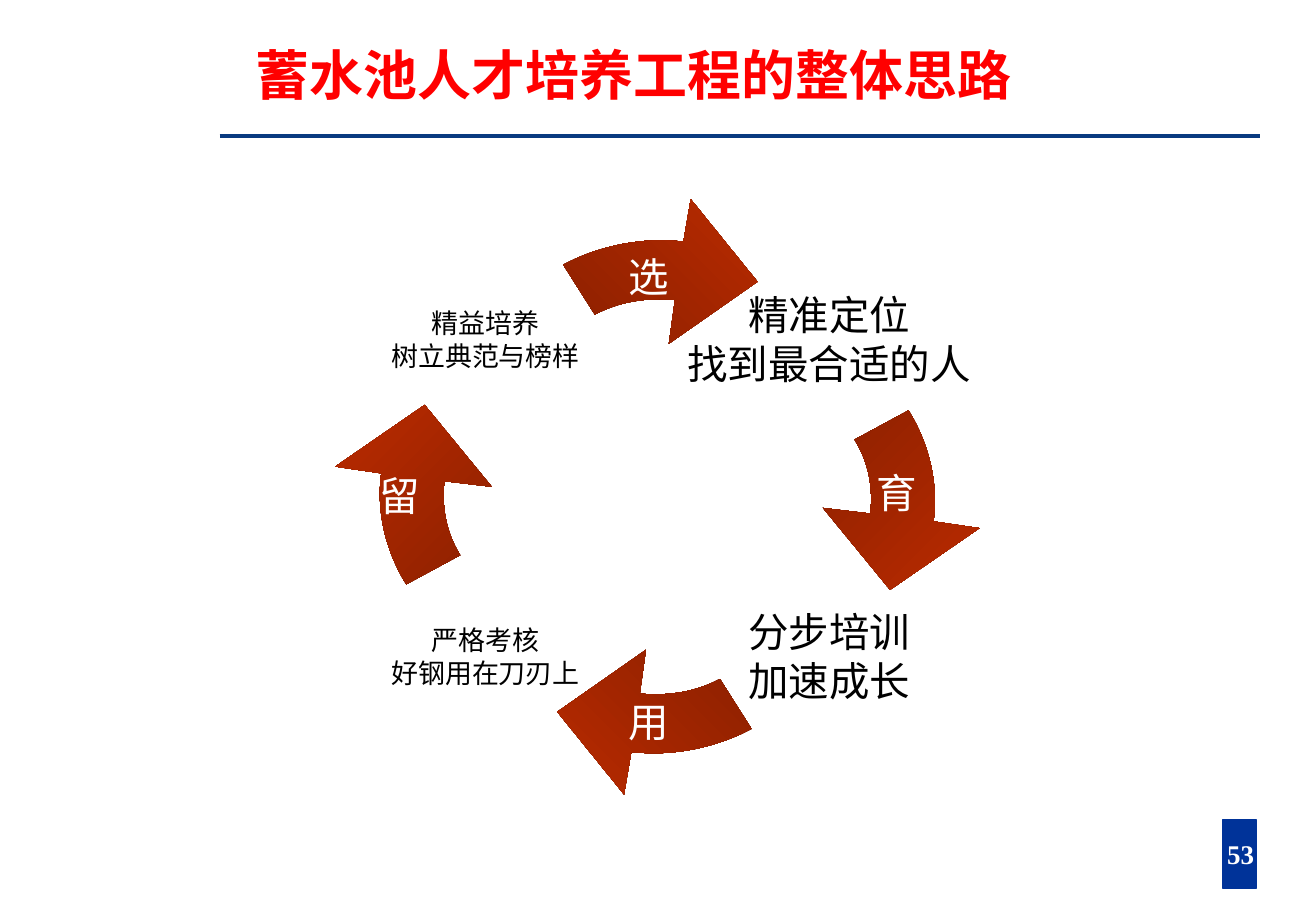
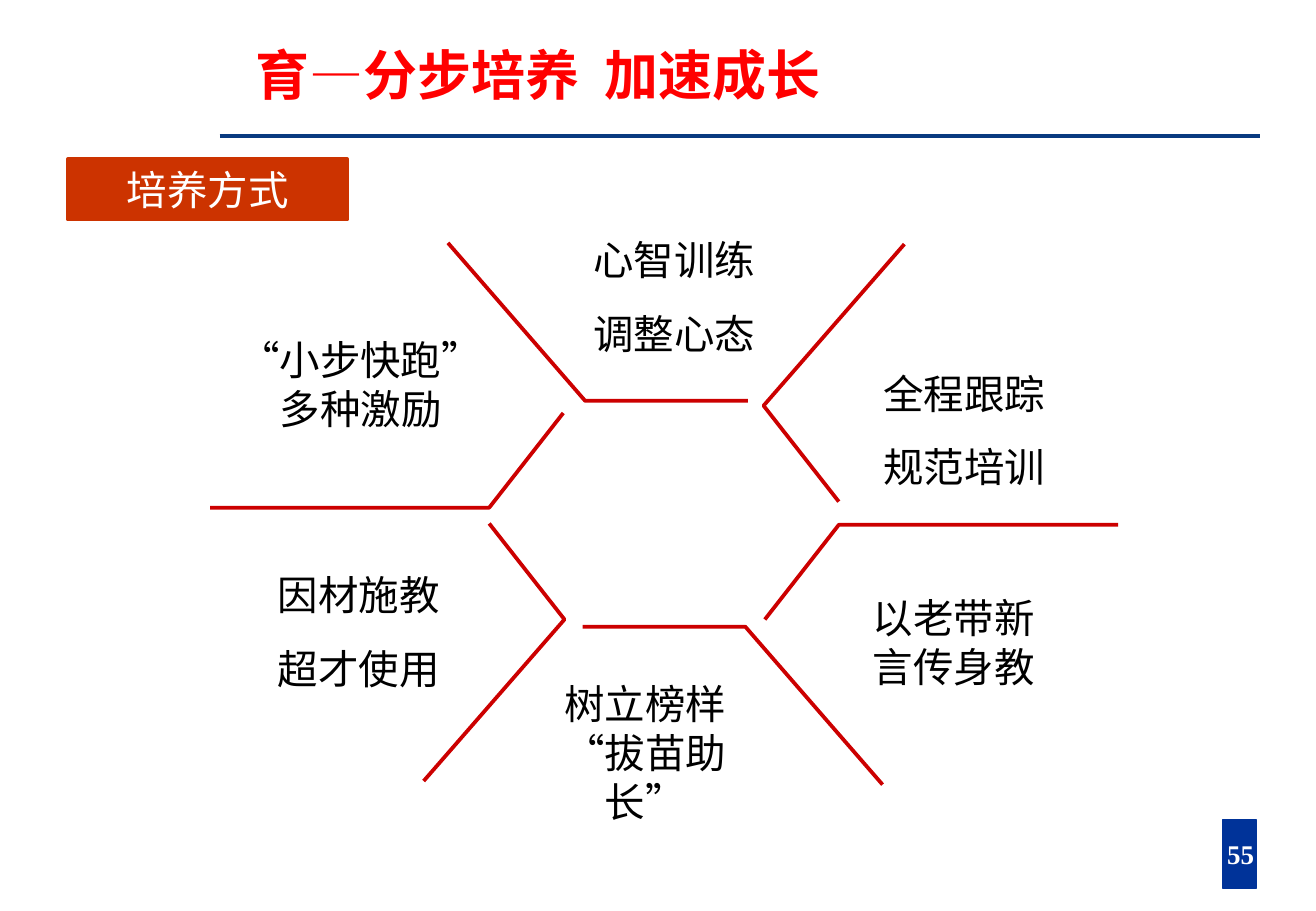
from dataclasses import dataclass

from lxml import etree
from pptx import Presentation
from pptx.dml.color import RGBColor
from pptx.enum import shapes, text
from pptx.oxml import ns
from pptx.util import Inches, Pt


@dataclass(frozen=True)
class Theme:
    title: str = "FF0000"
    rule: str = "093A80"
    badge: str = "003399"
    accent: str = "CC3300"
    branch: str = "CC0000"
    arrow_tail: str = "5E1700"
    arrow_head: str = "BE2B00"
    ink: str = "000000"
    light: str = "FFFFFF"
    latin: str = "Times New Roman"
    asian: str = "Noto Sans CJK SC"
    dash: str = "Arial"
    title_size: int = 32
    large: int = 24
    small: int = 16
    leading: float = 1.21


THEME = Theme()
LEFT, CENTER = text.PP_ALIGN.LEFT, text.PP_ALIGN.CENTER
TOP, MIDDLE = text.MSO_ANCHOR.TOP, text.MSO_ANCHOR.MIDDLE

# The arrow is described inside a frame; each quarter turns and places that frame.
ARROW_WIDTH, ARROW_HEIGHT = 3.11, 2.87
ARROW_PATH = [
    ("moveTo", [(1.7, 0.49)]),
    ("cubicBezTo", [(1.47, 0.47), (1.25, 0.5), (1.04, 0.61)]),
    ("lnTo", [(0.78, 0.2)]),
    ("cubicBezTo", [(1.08, 0.04), (1.44, -0.03), (1.77, 0.01)]),
    ("lnTo", [(1.83, -0.34)]),
    ("lnTo", [(2.38, 0.34)]),
    ("lnTo", [(1.65, 0.85)]),
    ("close", []),
]
ARROW_FRAMES = [
    (3.86, 1.98, ARROW_WIDTH, ARROW_HEIGHT),
    (4.71, 2.54, ARROW_HEIGHT, ARROW_WIDTH),
    (3.86, 3.33, ARROW_WIDTH, ARROW_HEIGHT),
    (3.25, 2.54, ARROW_HEIGHT, ARROW_WIDTH),
]
CYCLE_LABELS = [("选", 5.08, 2.02), ("育", 7.12, 3.8), ("用", 5.08, 5.69), ("留", 3.03, 3.83)]
NOTE_WIDTH = 2.6
CYCLE_NOTES = [
    (6.83, 2.25, THEME.large, ["精准定位", "找到最合适的人"]),
    (6.83, 4.86, THEME.large, ["分步培训", "加速成长"]),
    (4, 2.25, THEME.small, ["精益培养", "树立典范与榜样"]),
    (4, 4.86, THEME.small, ["严格考核", "好钢用在刀刃上"]),
]

# Each branch is drawn once and again half a turn around its centre.
BRANCHES = [
    ([(3.69, 2), (4.82, 3.3), (6.16, 3.3)], (5.48, 4.23)),
    ([(1.73, 4.18), (4.03, 4.18), (4.64, 3.4)], (5.47, 4.25)),
    ([(7.45, 2.01), (6.29, 3.34), (6.91, 4.13)], (5.47, 4.22)),
]
METHODS = [
    (4.79, 1.68, 1.53, 1.5, ["心智训练", "调整心态"]),
    (1.87, 2.71, 2.2, 1, ["“小步快跑”", "多种激励"]),
    (2.19, 4.44, 1.53, 1.5, ["因材施教", "超才使用"]),
    (4.28, 5.54, 2.07, 1, ["树立榜样", "“拔苗助长”"]),
    (7.18, 2.78, 1.53, 1.5, ["全程跟踪", "规范培训"]),
    (7.09, 4.83, 1.53, 1, ["以老带新", "言传身教"]),
]


class Canvas:
    def __init__(self, theme):
        self.theme = theme
        self.deck = Presentation()
        self.deck.slide_width = Inches(10.84)
        self.deck.slide_height = Inches(7.5)
        self.page = None

    def new_page(self, number, title_spans, title_tab=None):
        """Start a slide with its rule, number badge and title."""
        theme = self.theme
        self.page = self.deck.slides.add_slide(self.deck.slide_layouts[6])
        self.rule(1.81, 10.38, 1.12)
        self.rectangle(10.07, 6.75, 0.28, 0.56, theme.badge, 1)
        frame = self.frame(9.62, 6.84, 1.2, 0.37, anchor=MIDDLE, wrap=False)
        para = frame.paragraphs[0]
        para.alignment = CENTER
        self.span(para, str(number), theme.small, theme.light, bold=True)

        para = self.frame(2.01, 0.29, 7.63, 0.74, anchor=MIDDLE).paragraphs[0]
        para.line_spacing = 0.8
        if title_tab:
            stops = etree.SubElement(para._p.get_or_add_pPr(), ns.qn("a:tabLst"))
            etree.SubElement(stops, ns.qn("a:tab"), pos=str(Inches(title_tab)), algn="l")
        for words, font, bold in title_spans:
            self.span(para, words, theme.title_size, theme.title, bold, font)

    def rule(self, left, right, top):
        line = self.page.shapes.add_connector(
            shapes.MSO_CONNECTOR.STRAIGHT, Inches(left), Inches(top), Inches(right), Inches(top))
        line.line.color.rgb = RGBColor.from_string(self.theme.rule)
        line.line.width = Pt(2.25)
        etree.SubElement(line._element.spPr, ns.qn("a:effectLst"))

    def rectangle(self, left, top, width, height, color, border):
        box = self.page.shapes.add_shape(
            shapes.MSO_SHAPE.RECTANGLE, Inches(left), Inches(top), Inches(width), Inches(height))
        box.shadow.inherit = False
        box.fill.solid()
        box.fill.fore_color.rgb = box.line.color.rgb = RGBColor.from_string(color)
        box.line.width = Pt(border)
        return box

    def frame(self, left, top, width, height, anchor=TOP, wrap=True, margins=True):
        box = self.page.shapes.add_textbox(
            Inches(left), Inches(top), Inches(width), Inches(height))
        frame = box.text_frame
        frame.word_wrap = wrap
        frame.vertical_anchor = anchor
        if not margins:
            frame.margin_left = frame.margin_right = 0
            frame.margin_top = frame.margin_bottom = 0
        return frame

    def span(self, para, words, size, color, bold=False, latin=None):
        run = para.add_run()
        run.text = words
        run.font.size = Pt(size)
        run.font.bold = bold
        run.font.color.rgb = RGBColor.from_string(color)
        run.font.name = latin or self.theme.latin
        etree.SubElement(run._r.get_or_add_rPr(), ns.qn("a:ea"), typeface=self.theme.asian)

    def lines(self, frame, lines, size, color, align=CENTER, spacing=1):
        for index, words in enumerate(lines):
            para = frame.add_paragraph() if index else frame.paragraphs[0]
            para.alignment = align
            para.line_spacing = Pt(round(size * self.theme.leading * spacing, 1))
            self.span(para, words, size, color)

    def outline(self, points, closed):
        builder = self.page.shapes.build_freeform(
            Inches(points[0][0]), Inches(points[0][1]), scale=1.0)
        builder.add_line_segments([(Inches(x), Inches(y)) for x, y in points[1:]], close=closed)
        shape = builder.convert_to_shape()
        shape.shadow.inherit = False
        return shape

    def arrow(self, left, top, width, height, rotation):
        """Draw the curved arrow, fitted to a frame and turned with it."""
        right, bottom = left + width, top + height
        shape = self.outline([(left, top), (right, top), (right, bottom), (left, bottom)], True)
        outline = shape._element.spPr.find(".//" + ns.qn("a:path"))
        for segment in list(outline):
            outline.remove(segment)
        outline.set("w", str(Inches(ARROW_WIDTH)))
        outline.set("h", str(Inches(ARROW_HEIGHT)))
        for command, points in ARROW_PATH:
            segment = etree.SubElement(outline, ns.qn("a:" + command))
            for x, y in points:
                etree.SubElement(segment, ns.qn("a:pt"), x=str(Inches(x)), y=str(Inches(y)))
        shape.rotation = rotation
        shape.line.fill.background()
        shape.fill.gradient()
        shape.fill.gradient_angle = 45
        colors = (self.theme.arrow_tail, self.theme.arrow_head)
        for position, (stop, color) in enumerate(zip(shape.fill.gradient_stops, colors)):
            stop.color.rgb = RGBColor.from_string(color)
            stop.position = position

    def branch(self, points):
        shape = self.outline(points, closed=False)
        shape.fill.background()
        shape.line.color.rgb = RGBColor.from_string(self.theme.branch)
        shape.line.width = Pt(2.25)


def cycle_page(canvas):
    theme = canvas.theme
    canvas.new_page(53, [("蓄水池人才培养工程的整体思路", theme.asian, True)])
    for quarter, frame in enumerate(ARROW_FRAMES):
        canvas.arrow(*frame, rotation=90 * quarter)
    for center, top, size, lines in CYCLE_NOTES:
        frame = canvas.frame(center - NOTE_WIDTH / 2, top, NOTE_WIDTH, 1.08, MIDDLE, margins=False)
        canvas.lines(frame, lines, size, theme.ink)
    for label, left, top in CYCLE_LABELS:
        frame = canvas.frame(left, top, 0.68, 0.5)
        canvas.lines(frame, [label], theme.large, theme.light, LEFT)


def methods_page(canvas):
    theme = canvas.theme
    title = [
        ("育", theme.asian, True),
        ("—", theme.dash, False),
        ("分步培养\t加速成长", theme.asian, True),
    ]
    canvas.new_page(55, title, title_tab=2.87)
    for points, (center_x, center_y) in BRANCHES:
        canvas.branch(points)
        canvas.branch([(2 * center_x - x, 2 * center_y - y) for x, y in points])
    for left, top, width, spacing, lines in METHODS:
        frame = canvas.frame(left, top, width, 0.9 if spacing == 1 else 1.3)
        canvas.lines(frame, lines, theme.large, theme.ink, spacing=spacing)
    heading = canvas.rectangle(0.56, 1.31, 2.3, 0.5, theme.accent, 2).text_frame
    heading.vertical_anchor = MIDDLE
    canvas.lines(heading, ["培养方式"], theme.large, theme.light)


def main():
    canvas = Canvas(THEME)
    cycle_page(canvas)
    methods_page(canvas)
    canvas.deck.save("out.pptx")


if __name__ == "__main__":
    main()
